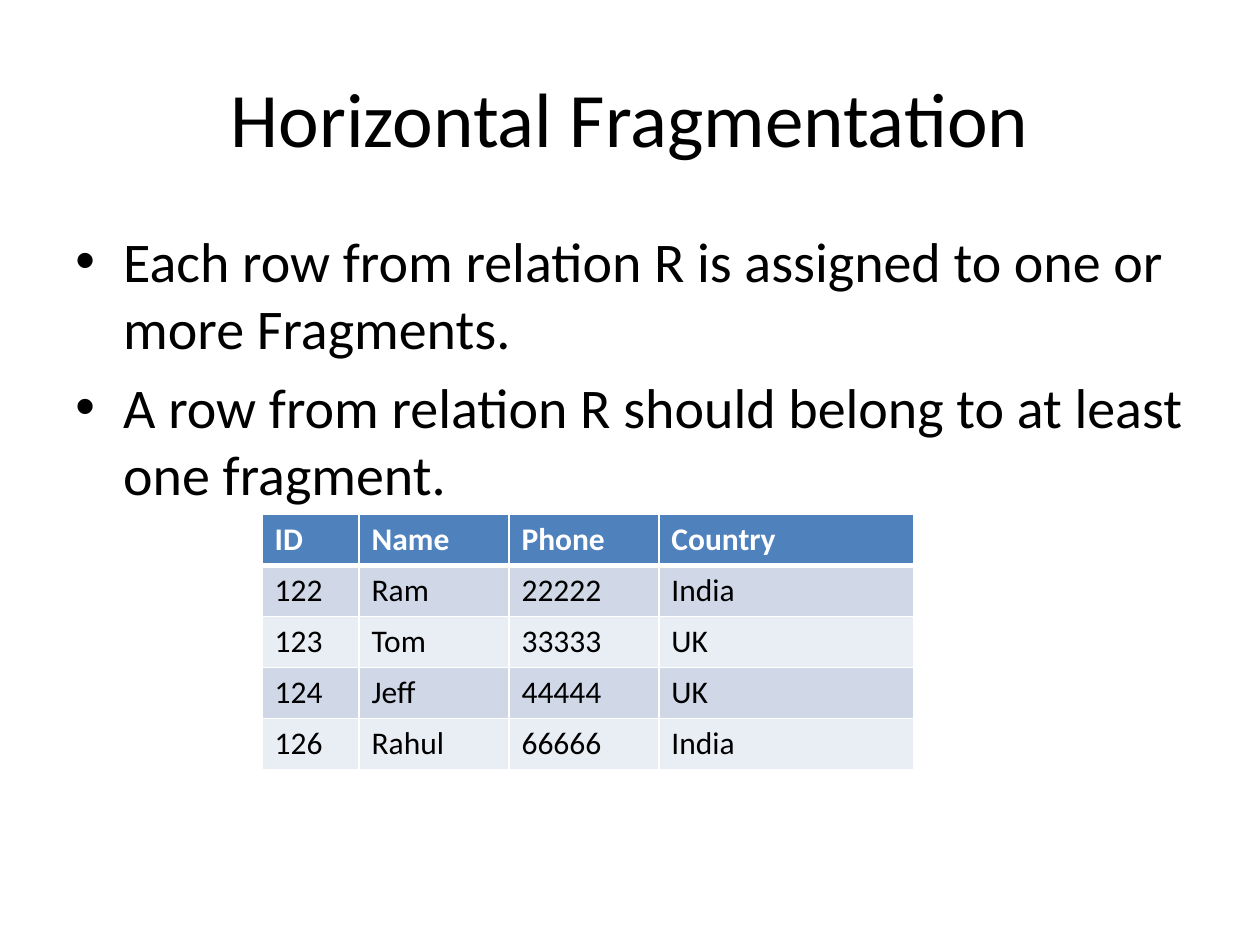
from lxml.etree import SubElement
from pptx import Presentation
from pptx.dml.color import RGBColor
from pptx.enum.text import MSO_ANCHOR as Anchor, PP_ALIGN as Align
from pptx.oxml.ns import qn
from pptx.util import Inches, Pt

TITLE = "Horizontal Fragmentation"
BULLETS = [
    "Each row from relation R is assigned to one or more Fragments.",
    "A row from relation R should belong to at least one fragment.",
]
RELATION = [
    ("ID", "Name", "Phone", "Country"),
    ("122", "Ram", "22222", "India"),
    ("123", "Tom", "33333", "UK"),
    ("124", "Jeff", "44444", "UK"),
    ("126", "Rahul", "66666", "India"),
]
COLUMN_WIDTHS = [0.77, 1.19, 1.19, 2.02]
TABLE_HEIGHT = 2.03
COLORS = {
    "text": "000000",
    "header": "4F81BD",
    "header_text": "FFFFFF",
    "odd_row": "D0D8E8",
    "even_row": "E9EDF4",
    "border": "FFFFFF",
}
FONT = "Calibri"


def color(name):
    return RGBColor.from_string(COLORS[name])


def format_runs(paragraph, size, color_name="text", bold=False):
    for run in paragraph.runs:
        run.font.name = FONT
        run.font.size = Pt(size)
        run.font.bold = bold
        run.font.color.rgb = color(color_name)


def add_text_frame(slide, left, top, width, height):
    box = slide.shapes.add_textbox(Inches(left), Inches(top), Inches(width), Inches(height))
    box.text_frame.word_wrap = True
    return box.text_frame


def add_bullet(paragraph, indent=0.38):
    properties = paragraph._p.get_or_add_pPr()
    properties.set("marL", str(Inches(indent)))
    properties.set("indent", str(-Inches(indent)))
    SubElement(properties, qn("a:buFont"), typeface="Arial")
    SubElement(properties, qn("a:buChar"), char="•")


def set_borders(cell, bottom_width):
    properties = cell._tc.get_or_add_tcPr()
    for side, width in (("L", 1), ("R", 1), ("T", 1), ("B", bottom_width)):
        line = SubElement(properties, qn(f"a:ln{side}"), w=str(Pt(width)))
        fill = SubElement(line, qn("a:solidFill"))
        SubElement(fill, qn("a:srgbClr"), val=COLORS["border"])


def add_title(slide):
    frame = add_text_frame(slide, 0.5, 0.3, 9, 1.25)
    frame.vertical_anchor = Anchor.MIDDLE
    frame.text = TITLE
    frame.paragraphs[0].alignment = Align.CENTER
    format_runs(frame.paragraphs[0], 44)


def add_bullets(slide):
    frame = add_text_frame(slide, 0.5, 1.75, 9, 4.95)
    frame.text = "\n".join(BULLETS)
    for paragraph in frame.paragraphs:
        paragraph.space_before = Pt(6.4)
        add_bullet(paragraph)
        format_runs(paragraph, 32)


def add_relation_table(slide):
    table = slide.shapes.add_table(
        len(RELATION), len(COLUMN_WIDTHS), Inches(2.08), Inches(4.08),
        Inches(sum(COLUMN_WIDTHS)), Inches(TABLE_HEIGHT)).table
    for column, width in zip(table.columns, COLUMN_WIDTHS):
        column.width = Inches(width)
    for row_index, values in enumerate(RELATION):
        is_header = row_index == 0
        fill = "header" if is_header else "odd_row" if row_index % 2 else "even_row"
        for column_index, value in enumerate(values):
            cell = table.cell(row_index, column_index)
            cell.text = value
            set_borders(cell, 3 if is_header else 1)
            cell.fill.solid()
            cell.fill.fore_color.rgb = color(fill)
            format_runs(cell.text_frame.paragraphs[0], 18,
                        "header_text" if is_header else "text", is_header)


def main():
    presentation = Presentation()
    presentation.slide_width = Inches(10)
    presentation.slide_height = Inches(7.5)
    slide = presentation.slides.add_slide(presentation.slide_layouts[6])
    add_title(slide)
    add_bullets(slide)
    add_relation_table(slide)
    presentation.save("out.pptx")


if __name__ == "__main__":
    main()
